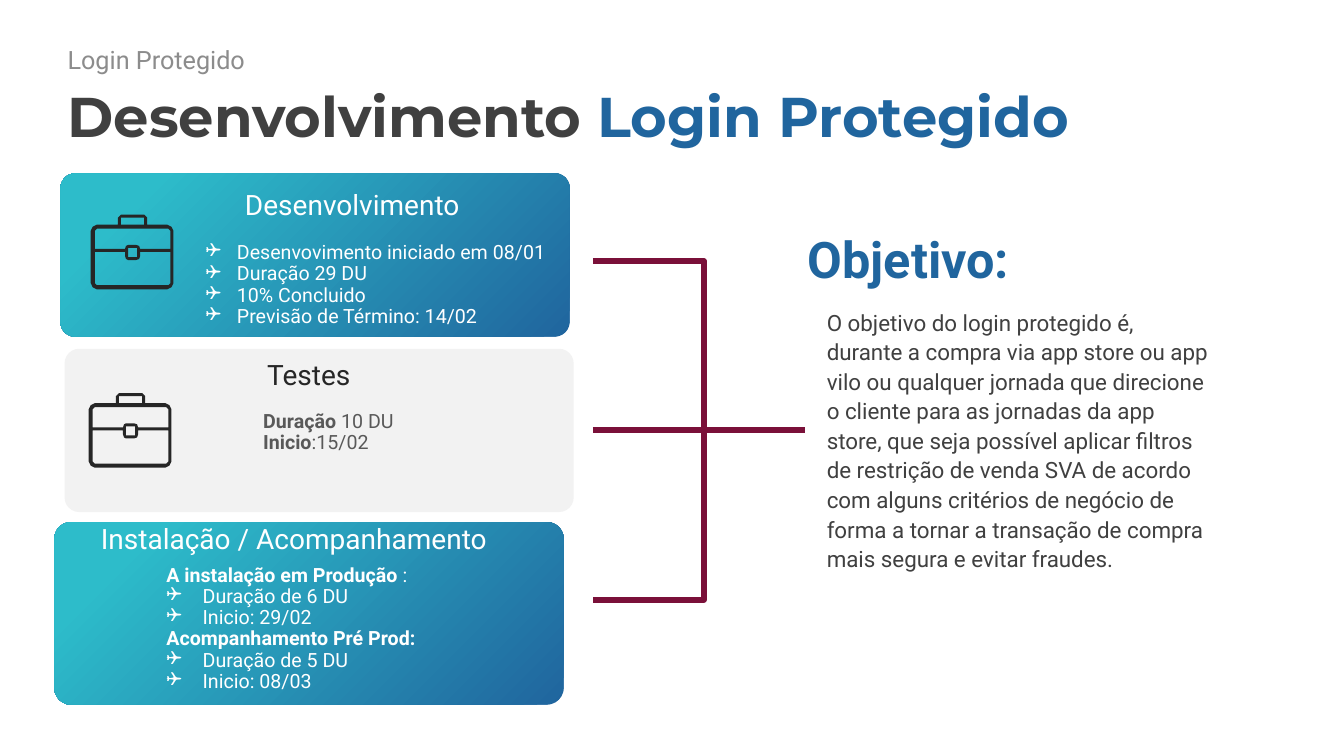
from dataclasses import dataclass

from lxml import etree
from pptx import Presentation
from pptx.dml.color import RGBColor
from pptx.enum.shapes import MSO_CONNECTOR, MSO_SHAPE
from pptx.enum.text import MSO_ANCHOR
from pptx.oxml.ns import qn
from pptx.util import Inches, Pt

TOP, MIDDLE, BOTTOM = MSO_ANCHOR.TOP, MSO_ANCHOR.MIDDLE, MSO_ANCHOR.BOTTOM
ROUNDED = MSO_SHAPE.ROUNDED_RECTANGLE
STRAIGHT = MSO_CONNECTOR.STRAIGHT


@dataclass(frozen=True)
class Theme:
    heading_font: str = "Montserrat"
    body_font: str = "Roboto"
    bullet_font: str = "Wingdings"
    blue: str = "20659E"
    teal: str = "2DBCCA"
    wine: str = "7A1039"
    dark: str = "404040"
    ink: str = "262626"
    gray: str = "595959"
    muted: str = "8C8C8C"
    light: str = "F2F2F2"
    white: str = "FFFFFF"
    title: int = 40
    objective: int = 36
    card_title: int = 20
    eyebrow: int = 18
    body: int = 16
    detail: int = 14
    stroke: float = 4.25


THEME = Theme()

BRIEFCASE_OUTLINES = [
    [(30, 0), (53, 0), (56, 3), (56, 10), (76, 10), (80, 12), (82, 16),
     (82, 68), (80, 72), (76, 74), (6, 74), (2, 72), (0, 68), (0, 16),
     (2, 12), (6, 10), (27, 10), (27, 3)],
    [(30, 3), (53, 3), (53, 10), (30, 10)],
    [(6, 14), (77, 14), (79, 16), (79, 34), (49, 34), (48, 31), (45, 30),
     (37, 30), (35, 31), (34, 34), (4, 34), (4, 16)],
    [(4, 37), (34, 37), (34, 41), (35, 44), (37, 45), (45, 45), (48, 44),
     (49, 41), (49, 37), (79, 37), (79, 68), (77, 70), (6, 70), (4, 68)],
    [(37, 33), (46, 33), (46, 42), (37, 42)],
]


def rgb(value):
    return RGBColor.from_string(value)


def add_bullet(paragraph, indent):
    properties = paragraph._p.get_or_add_pPr()
    properties.set("marL", str(Inches(indent)))
    properties.set("indent", str(-Inches(indent)))
    etree.SubElement(properties, qn("a:buFont")).set("typeface", THEME.bullet_font)
    etree.SubElement(properties, qn("a:buChar")).set("char", "❑")


def add_text(slide, box, paragraphs, size, color, font=THEME.body_font,
             anchor=TOP, inset=0.05, spacing=1.0):
    frame = slide.shapes.add_textbox(*map(Inches, box)).text_frame
    frame.word_wrap = True
    frame.vertical_anchor = anchor
    frame.margin_left = frame.margin_right = 0
    frame.margin_top = frame.margin_bottom = Inches(inset)
    for index, (runs, indent) in enumerate(paragraphs):
        paragraph = frame.paragraphs[0] if index == 0 else frame.add_paragraph()
        paragraph.line_spacing = spacing
        if indent:
            add_bullet(paragraph, indent)
        paragraph.font.name = font
        paragraph.font.size = Pt(size)
        paragraph.font.color.rgb = rgb(color)
        for text, bold, run_color in runs:
            run = paragraph.add_run()
            run.text = text
            if bold:
                run.font.bold = True
            if run_color:
                run.font.color.rgb = rgb(run_color)


def line(text, bold=False, indent=0):
    return [(text, bold, None)], indent


def add_header(slide, left, top):
    add_text(slide, (left, top, 4.22, 0.4), [line("Login Protegido")],
             THEME.eyebrow, THEME.muted, anchor=MIDDLE, inset=0.07)
    title = [("Desenvolvimento ", True, None),
             ("Login Protegido", True, THEME.blue)]
    add_text(slide, (left, top + 0.36, 12, 0.78), [(title, 0)], THEME.title,
             THEME.dark, THEME.heading_font, MIDDLE, 0.07)


def add_briefcase(slide, left, top):
    first, *others = BRIEFCASE_OUTLINES
    builder = slide.shapes.build_freeform(*first[0], scale=Inches(0.01))
    builder.add_line_segments(first[1:])
    for outline in others:
        builder.move_to(*outline[0])
        builder.add_line_segments(outline[1:])
    briefcase = builder.convert_to_shape(Inches(left), Inches(top))
    briefcase.shadow.inherit = False
    briefcase.fill.solid()
    briefcase.fill.fore_color.rgb = rgb(THEME.ink)
    briefcase.line.fill.background()


def add_card(slide, box, title, title_box, details, details_box,
             highlighted=True, icon=None):
    left, top = box[:2]
    card = slide.shapes.add_shape(ROUNDED, *map(Inches, box))
    card.adjustments[0] = 0.09
    card.shadow.inherit = False
    card.line.fill.background()
    if highlighted:
        card.fill.gradient()
        card.fill.gradient_angle = 135
        stops = card.fill.gradient_stops
        for stop, position, color in zip(stops, (0, 0.85), (THEME.blue, THEME.teal)):
            stop.position = position
            stop.color.rgb = rgb(color)
    else:
        card.fill.solid()
        card.fill.fore_color.rgb = rgb(THEME.light)

    def place(part):
        return left + part[0], top + part[1], *part[2:]

    title_color, detail_color = ((THEME.white, THEME.white) if highlighted
                                 else (THEME.ink, THEME.gray))
    add_text(slide, place(title_box), [line(title)], THEME.card_title,
             title_color, anchor=BOTTOM, inset=0)
    add_text(slide, place(details_box), details, THEME.detail, detail_color,
             spacing=0.9)
    if icon:
        add_briefcase(slide, *place(icon))


def add_bracket(slide, left, top, width, height, reach):
    right, bottom = Inches(width), Inches(height)
    builder = slide.shapes.build_freeform(0, 0)
    builder.add_line_segments([(right, 0), (right, bottom), (0, bottom)], close=False)
    bracket = builder.convert_to_shape(Inches(left), Inches(top))
    bracket.shadow.inherit = False
    bracket.fill.background()
    middle = Inches(top + height / 2)
    arm = slide.shapes.add_connector(STRAIGHT, Inches(left), middle,
                                     Inches(left + reach), middle)
    etree.SubElement(arm._element.spPr, qn("a:effectLst"))
    for stroke in (bracket.line, arm.line):
        stroke.color.rgb = rgb(THEME.wine)
        stroke.width = Pt(THEME.stroke)


def add_objective(slide, left, top):
    add_text(slide, (left, top, 3.82, 0.71), [line("Objetivo:", True)],
             THEME.objective, THEME.blue, anchor=BOTTOM)
    add_text(slide, (left + 0.19, top + 0.79, 3.82, 3.04), [line(
        "O objetivo do login protegido é, durante a compra via app store ou "
        "app vilo ou qualquer jornada que direcione o cliente para as jornadas "
        "da app store, que seja possível aplicar filtros de restrição de venda "
        "SVA de acordo com alguns critérios de negócio de forma a tornar a "
        "transação de compra mais segura e evitar fraudes.")],
        THEME.body, THEME.dark, spacing=1.1)


def build_slide(presentation):
    slide = presentation.slides.add_slide(presentation.slide_layouts[6])
    add_header(slide, 0.67, 0.39)
    add_bracket(slide, 5.88, 2.59, 1.1, 3.36, 2.1)
    add_objective(slide, 8.01, 2.2)
    add_card(slide, (0.64, 3.46, 5.05, 1.62), "Testes", (2.01, 0.08, 2.68, 0.34),
             [([("Duração", True, None), (" 10 DU", False, None)], 0),
              ([("Inicio", True, None), (":15/02", False, None)], 0)],
             (1.97, 0.57, 2.68, 0.53), highlighted=False, icon=(0.24, 0.44))
    add_card(slide, (0.6, 1.72, 5.05, 1.62), "Desenvolvimento",
             (1.83, 0.13, 2.68, 0.34),
             [line(text, indent=0.31) for text in (
                 "Desenvovimento iniciado em 08/01", "Duração 29 DU",
                 "10% Concluido", "Previsão de Término: 14/02")],
             (1.44, 0.64, 3.46, 0.95), icon=(0.3, 0.41))
    add_card(slide, (0.54, 5.18, 5.05, 1.81), "Instalação / Acompanhamento",
             (0.46, -0.01, 4.11, 0.34),
             [([("A instalação em Produção ", True, None), (":", False, None)], 0),
              line("Duração de 6 DU", indent=0.36),
              line("Inicio: 29/02", indent=0.36),
              line("Acompanhamento Pré Prod:", True),
              line("Duração de 5 DU", indent=0.36),
              line("Inicio: 08/03", indent=0.36)],
             (1.11, 0.38, 2.68, 1.37))


def main():
    presentation = Presentation()
    presentation.slide_width = Inches(13.33)
    presentation.slide_height = Inches(7.5)
    build_slide(presentation)
    presentation.save("out.pptx")


if __name__ == "__main__":
    main()
